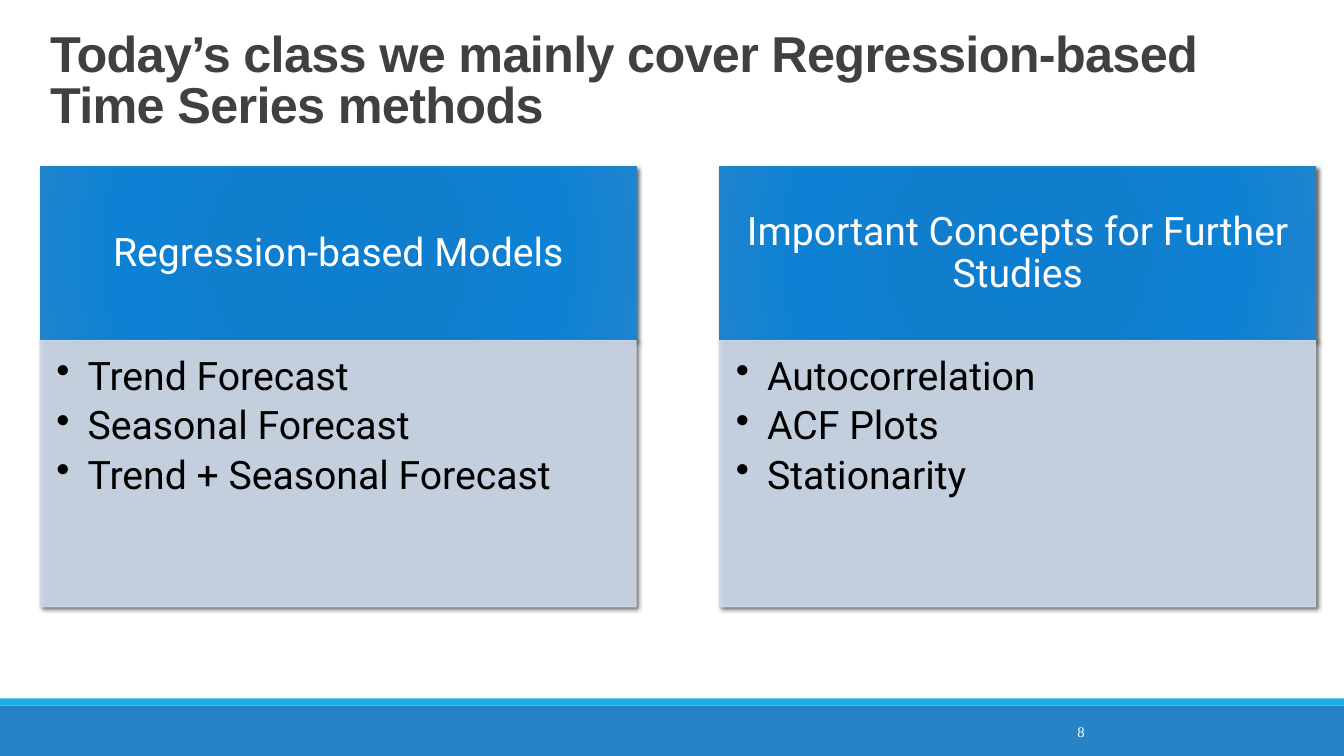
from dataclasses import dataclass

from lxml.etree import SubElement
from pptx import Presentation
from pptx.dml.color import RGBColor
from pptx.enum.shapes import MSO_SHAPE
from pptx.enum.text import MSO_ANCHOR, PP_ALIGN
from pptx.oxml.ns import qn
from pptx.util import Inches, Pt

# Grid: square cells of a tenth of an inch
CELL = Inches(0.1)
SLIDE_COLUMNS, SLIDE_ROWS = 133.33, 75

# Cards
CARD_LEFT, CARD_STEP, CARD_WIDTH = 4, 67.4, 59.1
HEADER_TOP, HEADER_HEIGHT, BODY_HEIGHT = 16.5, 17.3, 26.4
HEADER_STOPS = {0: "0D7ECF", 34: "117ECD", 70: "0D81D4", 100: "1E84CE"}
BLUE, PALE, CYAN = "2683C6", "CDD9EA", "1CADE4"


@dataclass(frozen=True)
class Area:
    left: float
    top: float
    width: float
    height: float

    def lengths(self) -> list[int]:
        return [round(n * CELL) for n in (self.left, self.top, self.width, self.height)]


@dataclass(frozen=True)
class Card:
    heading: str
    topics: tuple[str, ...]


CARDS = (
    Card("Regression-based Models",
         ("Trend Forecast", "Seasonal Forecast", "Trend + Seasonal Forecast")),
    Card("Important Concepts for Further Studies",
         ("Autocorrelation", "ACF Plots", "Stationarity")),
)


def colour(code: str) -> RGBColor:
    return RGBColor.from_string(code)


def add_rectangle(page, area: Area, fill: str):
    shape = page.shapes.add_shape(MSO_SHAPE.RECTANGLE, *area.lengths())
    shape.shadow.inherit = False
    shape.fill.solid()
    shape.fill.fore_color.rgb = colour(fill)
    shape.line.fill.background()
    return shape


def add_shadow(shape) -> None:
    effects = shape._element.spPr.find(qn("a:effectLst"))
    shadow = SubElement(effects, qn("a:outerShdw"), blurRad=str(Pt(3)), dist=str(Pt(2)),
                        dir=str(45 * 60000), algn="ctr", rotWithShape="0")
    black = SubElement(shadow, qn("a:srgbClr"), val="000000")
    SubElement(black, qn("a:alpha"), val="60000")


def set_radial_fill(shape, stops: dict[int, str]) -> None:
    shape.fill.gradient()
    gradient = shape._element.spPr.find(qn("a:gradFill"))
    for child in list(gradient):
        gradient.remove(child)
    stop_list = SubElement(gradient, qn("a:gsLst"))
    for position, code in stops.items():
        stop = SubElement(stop_list, qn("a:gs"), pos=str(position * 1000))
        SubElement(stop, qn("a:srgbClr"), val=code)
    circle = SubElement(gradient, qn("a:path"), path="circle")
    SubElement(circle, qn("a:fillToRect"), l="100000", t="100000", r="100000", b="100000")


def set_frame(frame, anchor: MSO_ANCHOR, insets: tuple[float, ...] = (0.1, 0.05, 0.1, 0.05)) -> None:
    frame.word_wrap = True
    frame.vertical_anchor = anchor
    (frame.margin_left, frame.margin_top,
     frame.margin_right, frame.margin_bottom) = map(Inches, insets)


def format_text(para, font: str, size: float, code: str, align: PP_ALIGN,
                line: float = 1, after: float = 0, bold: bool = False) -> None:
    para.alignment = align
    para.line_spacing = line
    para.space_after = Pt(after)
    for span in para.runs:
        span.font.name = font
        span.font.size = Pt(size)
        span.font.bold = bold
        span.font.color.rgb = colour(code)


def add_bullet(para) -> None:
    properties = para._p.get_or_add_pPr()
    properties.set("marL", str(Inches(0.31)))
    properties.set("indent", str(Inches(-0.31)))
    SubElement(properties, qn("a:buChar"), char="•")


def add_text(page, area: Area, text: str, anchor: MSO_ANCHOR):
    box = page.shapes.add_textbox(*area.lengths())
    set_frame(box.text_frame, anchor)
    box.text_frame.text = text
    return box.text_frame.paragraphs[0]


def add_card(page, card: Card, left: float) -> None:
    # Heading panel
    header = add_rectangle(page, Area(left, HEADER_TOP, CARD_WIDTH, HEADER_HEIGHT), BLUE)
    set_radial_fill(header, HEADER_STOPS)
    header.line.color.rgb = colour(BLUE)
    header.line.width = Pt(1)
    add_shadow(header)
    set_frame(header.text_frame, MSO_ANCHOR.MIDDLE, (0.22, 0.12, 0.22, 0.12))
    header.text_frame.text = card.heading
    format_text(header.text_frame.paragraphs[0], "Roboto", 28, "FFFFFF",
                PP_ALIGN.CENTER, line=0.9, after=11.5)

    # Topic panel, slightly transparent
    body = add_rectangle(
        page, Area(left, HEADER_TOP + HEADER_HEIGHT, CARD_WIDTH, BODY_HEIGHT), PALE)
    body.line.color.rgb = colour(PALE)
    body.line.width = Pt(1)
    for tint in body._element.spPr.iter(qn("a:srgbClr")):
        SubElement(tint, qn("a:alpha"), val="90000")
    add_shadow(body)
    set_frame(body.text_frame, MSO_ANCHOR.TOP, (0.16, 0.16, 0.22, 0.24))
    body.text_frame.text = "\n".join(card.topics)
    for para in body.text_frame.paragraphs:
        add_bullet(para)
        format_text(para, "Roboto", 28, "000000", PP_ALIGN.LEFT, line=0.9, after=5)


def main() -> None:
    deck = Presentation()
    deck.slide_width = round(SLIDE_COLUMNS * CELL)
    deck.slide_height = SLIDE_ROWS * CELL
    page = deck.slides.add_slide(deck.slide_layouts[6])

    # Footer bars
    add_rectangle(page, Area(0, 70, SLIDE_COLUMNS, 5), BLUE)
    add_rectangle(page, Area(0, 69.3, SLIDE_COLUMNS, 0.7), CYAN)

    # Cards
    for index, card in enumerate(CARDS):
        add_card(page, card, CARD_LEFT + index * CARD_STEP)

    # Slide number
    number = add_text(page, Area(94.3, 70.6, 14.3, 4), "8", MSO_ANCHOR.MIDDLE)
    format_text(number, "Times New Roman", 10.5, "FFFFFF", PP_ALIGN.RIGHT, after=6)

    # Title
    title = add_text(page, Area(4, 6, 125.6, 7.8),
                     "Today’s class we mainly cover Regression-based Time Series methods",
                     MSO_ANCHOR.BOTTOM)
    format_text(title, "Arial", 36, "404040", PP_ALIGN.LEFT, line=0.85, bold=True)
    title.runs[0].font._element.set("spc", "-50")

    deck.save("out.pptx")


if __name__ == "__main__":
    main()
